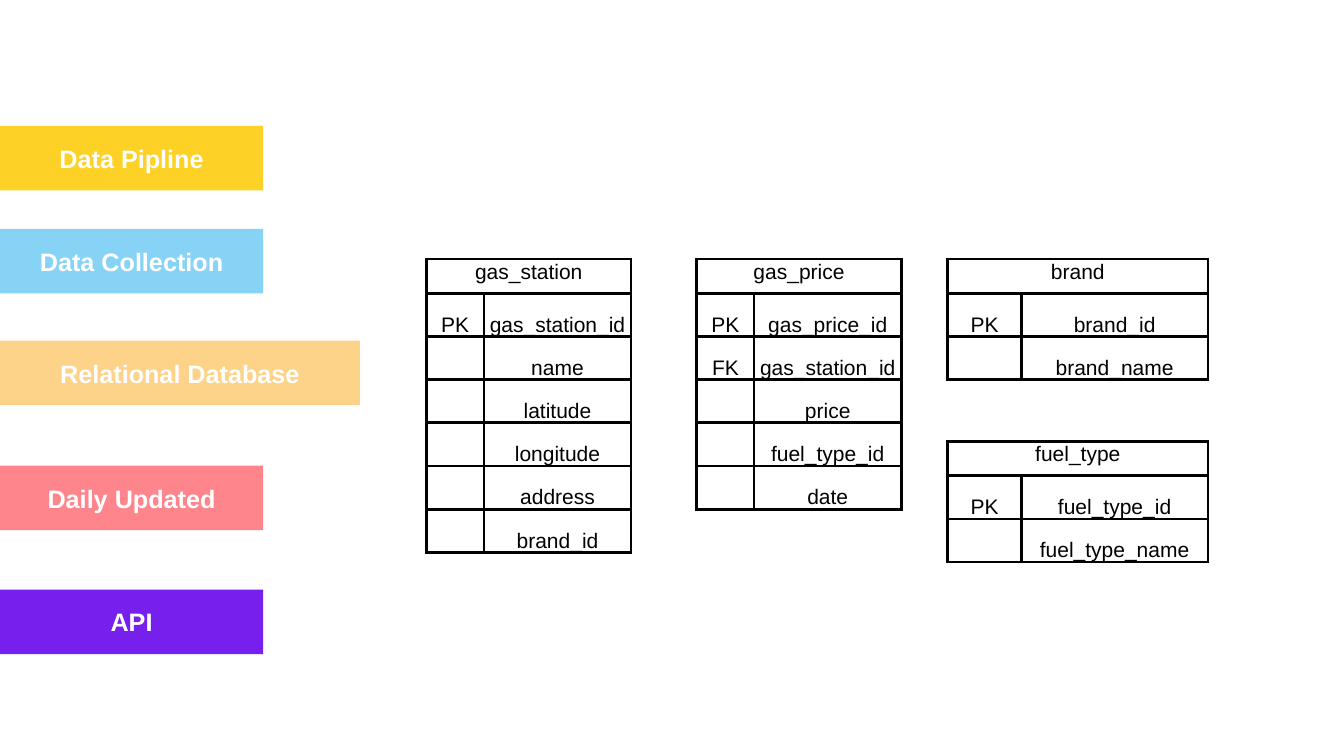
from pptx import Presentation
from pptx.dml.color import RGBColor
from pptx.enum.shapes import MSO_SHAPE as Shape
from pptx.enum.text import MSO_ANCHOR as Anchor, PP_ALIGN as Align
from pptx.oxml import parse_xml
from pptx.oxml.ns import nsdecls
from pptx.util import Inches, Pt

# Content: banners as (text, top, width, fill)
BANNERS = [
    ("Data Pipline", 1.25, 2.61, "FDD126"),
    ("Data Collection", 2.27, 2.61, "87D3F5"),
    ("Relational Database", 3.38, 3.57, "FCD389"),
    ("Daily Updated", 4.62, 2.61, "FF858C"),
    ("API", 5.85, 2.61, "771FED"),
]
NARROW, WIDE = (0.57, 1.46), (0.73, 1.85)

# Content: tables as (name, left, top, column widths, fields)
TABLES = [
    ("gas_station", 4.23, 2.57, NARROW, [
        ("PK", "gas_station_id"), ("", "name"), ("", "latitude"),
        ("", "longitude"), ("", "address"), ("", "brand_id")]),
    ("gas_price", 6.91, 2.57, NARROW, [
        ("PK", "gas_price_id"), ("FK", "gas_station_id"), ("", "price"),
        ("", "fuel_type_id"), ("", "date")]),
    ("brand", 9.4, 2.57, WIDE, [("PK", "brand_id"), ("", "brand_name")]),
    ("fuel_type", 9.4, 4.38, WIDE, [
        ("PK", "fuel_type_id"), ("", "fuel_type_name")]),
]
HEAD, ROW, BAR = 0.34, 0.37, 0.64
BLACK, WHITE = "000000", "FFFFFF"


def color(code):
    return RGBColor.from_string(code)


def style(para, size, code, bold=False):
    para.alignment = Align.CENTER
    font = para.font
    font.name, font.size, font.bold = "Arial", Pt(size), bold
    font.color.rgb = color(code)


def border(cell):
    props = cell._tc.get_or_add_tcPr()
    for at, side in enumerate(("lnL", "lnR", "lnT", "lnB")):
        props.insert(at, parse_xml(
            f'<a:{side} {nsdecls("a")} w="{Pt(2.25)}"><a:solidFill>'
            f'<a:srgbClr val="{BLACK}"/></a:solidFill></a:{side}>'))


def fill_cell(cell, text, lead):
    cell.margin_left = cell.margin_right = 0
    cell.margin_top = cell.margin_bottom = 0
    cell.vertical_anchor = Anchor.MIDDLE
    cell.fill.background()
    border(cell)
    cell.text = text
    para = cell.text_frame.paragraphs[0]
    style(para, 15, BLACK)
    if text:
        para.line_spacing = Pt(lead)


def add_entity(slide, name, left, top, widths, fields):
    high = HEAD + ROW * len(fields)
    table = slide.shapes.add_table(
        len(fields) + 1, 2, Inches(left), Inches(top),
        Inches(sum(widths)), Inches(high)).table
    table.first_row = table.horz_banding = False
    for col, width in zip(table.columns, widths):
        col.width = Inches(width)
    for at, pair in enumerate([(name, "")] + fields):
        table.rows[at].height = Inches(ROW if at else HEAD)
        for col, text in enumerate(pair):
            fill_cell(table.cell(at, col), text, 30.8 if at else 11)
    table.cell(0, 0).merge(table.cell(0, 1))


def add_banner(slide, text, top, width, code):
    bar = slide.shapes.add_shape(
        Shape.RECTANGLE, 0, Inches(top), Inches(width), Inches(BAR))
    bar.shadow.inherit = False
    bar.fill.solid()
    bar.fill.fore_color.rgb = color(code)
    bar.line.fill.background()
    frame = bar.text_frame
    frame.word_wrap = True
    frame.vertical_anchor = Anchor.MIDDLE
    frame.text = text
    style(frame.paragraphs[0], 18, WHITE, True)


def main():
    deck = Presentation()
    deck.slide_width, deck.slide_height = Inches(13.33), Inches(7.5)
    slide = deck.slides.add_slide(deck.slide_layouts[6])
    # Database tables
    for entity in TABLES:
        add_entity(slide, *entity)
    # Banners on the left edge
    for banner in BANNERS:
        add_banner(slide, *banner)
    deck.save("out.pptx")


if __name__ == "__main__":
    main()
